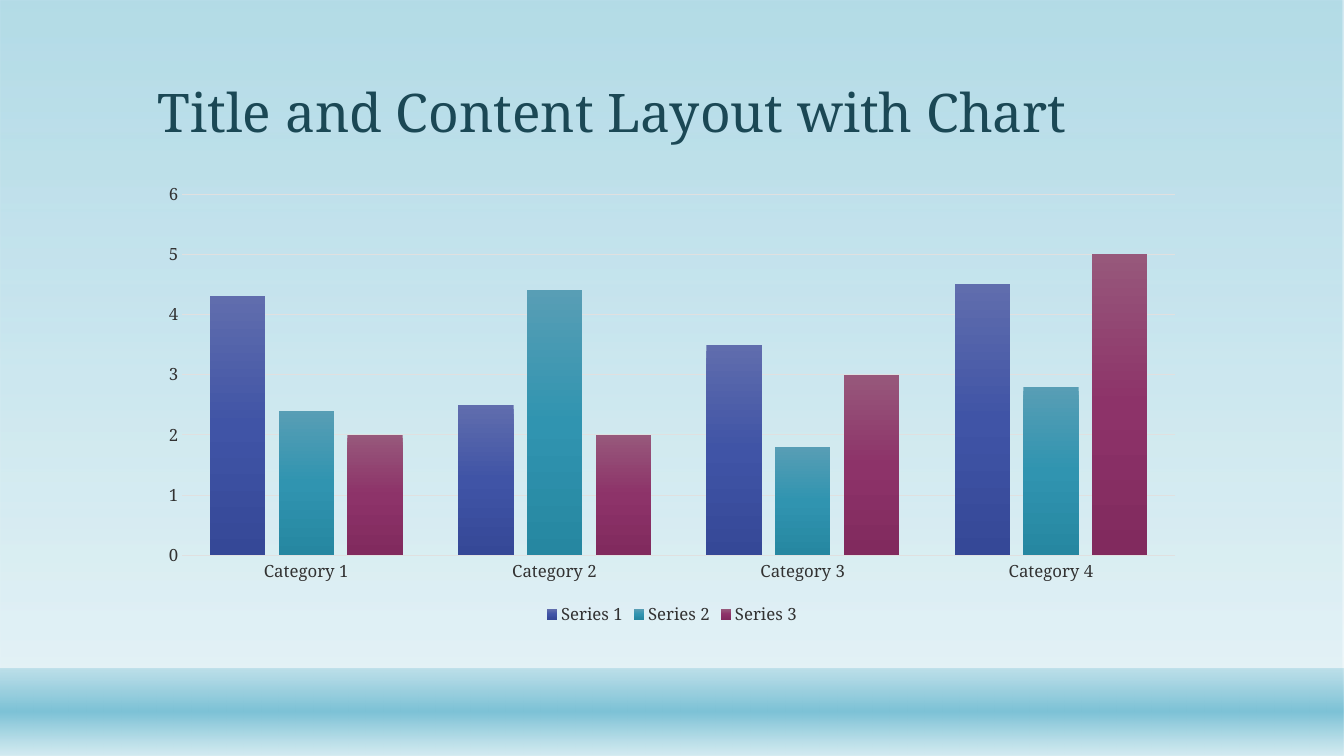
from pptx import Presentation
from pptx.chart.data import CategoryChartData as Data
from pptx.dml.color import RGBColor as RGB
from pptx.enum.chart import XL_CHART_TYPE as Kind, XL_LEGEND_POSITION as Pos, XL_TICK_MARK as Tick
from pptx.enum.shapes import MSO_SHAPE as Form
from pptx.enum.text import MSO_ANCHOR as Anchor, MSO_AUTO_SIZE as Auto, PP_ALIGN as Align
from pptx.oxml.ns import qn
from pptx.util import Inches, Pt
from lxml.etree import SubElement as Sub

HUES = {
    "title": "1B4855", "text": "323232", "line": "E0E0E0",
    "sea": "7DC2D6", "mist": "D4EBF1",
    "blue1": "606DAD", "blue2": "4054A6", "blue3": "354897",
    "teal1": "589EB5", "teal2": "3094B0", "teal3": "2687A1",
    "plum1": "97587B", "plum2": "8D3369", "plum3": "812A5E",
}
FACE = "Noto Serif"
WIDE, HIGH = 13.33, 7.5
LEFT, SPAN = 11, 78


def assign(item, **vals):
    """Set each given attribute on the item."""
    for name, val in vals.items():
        setattr(item, name, val)


class Deck:
    """Hold the style and the current slide; lengths are percent of its size."""

    def __init__(self):
        """Open a deck with one title-only slide."""
        self.prs = Presentation()
        assign(self.prs, slide_width=Inches(WIDE), slide_height=Inches(HIGH))
        self.slide = self.prs.slides.add_slide(self.prs.slide_layouts[5])

    def box(self, x, y, w, h):
        """Turn percent shares into lengths."""
        return [Inches(share * side / 100) for share, side in zip((x, y, w, h), (WIDE, HIGH) * 2)]

    def font(self, font, size, hue):
        """Apply the deck face with a size and colour."""
        assign(font, name=FACE, size=Pt(size), bold=False)
        font.color.rgb = RGB.from_string(HUES[hue])

    def fade(self, fill, root, stops):
        """Fill downward through stops of place, hue and opacity."""
        fill.gradient()
        fill.gradient_angle = 270
        rows = next(root.iter(qn("a:gsLst")))
        rows.clear()
        for place, hue, alpha in stops:
            stop = Sub(rows, qn("a:gs"), pos=str(place * 1000))
            tint = Sub(stop, qn("a:srgbClr"), val=HUES[hue])
            if alpha < 100:
                Sub(tint, qn("a:alpha"), val=str(alpha * 1000))

    def band(self, y, h, stops):
        """Draw a full-width fading band."""
        shape = self.slide.shapes.add_shape(Form.RECTANGLE, *self.box(0, y, 100, h))
        shape.shadow.inherit = False
        shape.line.fill.background()
        self.fade(shape.fill, shape._element.spPr, stops)

    def title(self, text, y, h):
        """Place the title above the bands."""
        head = self.slide.shapes.title
        self.slide.shapes._spTree.append(head._element)
        assign(head, **dict(zip(("left", "top", "width", "height"), self.box(LEFT, y, SPAN, h))))
        frame = head.text_frame
        frame.text = text
        assign(frame, vertical_anchor=Anchor.BOTTOM, word_wrap=True, auto_size=Auto.NONE)
        para = frame.paragraphs[0]
        assign(para, alignment=Align.LEFT, line_spacing=0.9)
        self.font(para.runs[0].font, 38, "title")

    def rule(self, line):
        """Style an axis or grid line."""
        line.width = Pt(0.75)
        line.color.rgb = RGB.from_string(HUES["line"])

    def chart(self, cats, rows, y, h):
        """Draw clustered columns from rows of name, hue and values."""
        data = Data()
        data.categories = cats
        for name, _, vals in rows:
            data.add_series(name, vals)
        chart = self.slide.shapes.add_chart(
            Kind.COLUMN_CLUSTERED, *self.box(LEFT, y, SPAN, h), data).chart
        assign(chart, has_title=False, has_legend=True)
        assign(chart.legend, position=Pos.BOTTOM, include_in_layout=False)
        plot = chart.plots[0]
        assign(plot, gap_width=100, overlap=-24, vary_by_categories=False)
        cat, val = chart.category_axis, chart.value_axis
        for axis in (cat, val):
            assign(axis, major_tick_mark=Tick.NONE, minor_tick_mark=Tick.NONE)
        assign(val, minimum_scale=0, maximum_scale=6, major_unit=1)
        for font in (chart.font, chart.legend.font, cat.tick_labels.font, val.tick_labels.font):
            self.font(font, 12, "text")
        val.format.line.fill.background()
        for line in (cat.format.line, val.major_gridlines.format.line):
            self.rule(line)
        for bars, (_, hue, _) in zip(plot.series, rows):
            assign(bars, invert_if_negative=False)
            stops = [(50 * i, f"{hue}{i + 1}", 100) for i in range(3)]
            self.fade(bars.format.fill, bars._element, stops)


deck = Deck()
deck.band(0, 100, [(0, "sea", 58), (88, "mist", 65)])
deck.band(88.4, 11.6, [(1, "sea", 38), (49, "sea", 100), (100, "mist", 89)])
deck.title("Title and Content Layout with Chart", 3.87, 15.87)
deck.chart(
    [f"Category {n}" for n in range(1, 5)],
    [("Series 1", "blue", (4.3, 2.5, 3.5, 4.5)),
     ("Series 2", "teal", (2.4, 4.4, 1.8, 2.8)),
     ("Series 3", "plum", (2, 2, 3, 5))],
    22.93, 60.4)
deck.prs.save("out.pptx")
